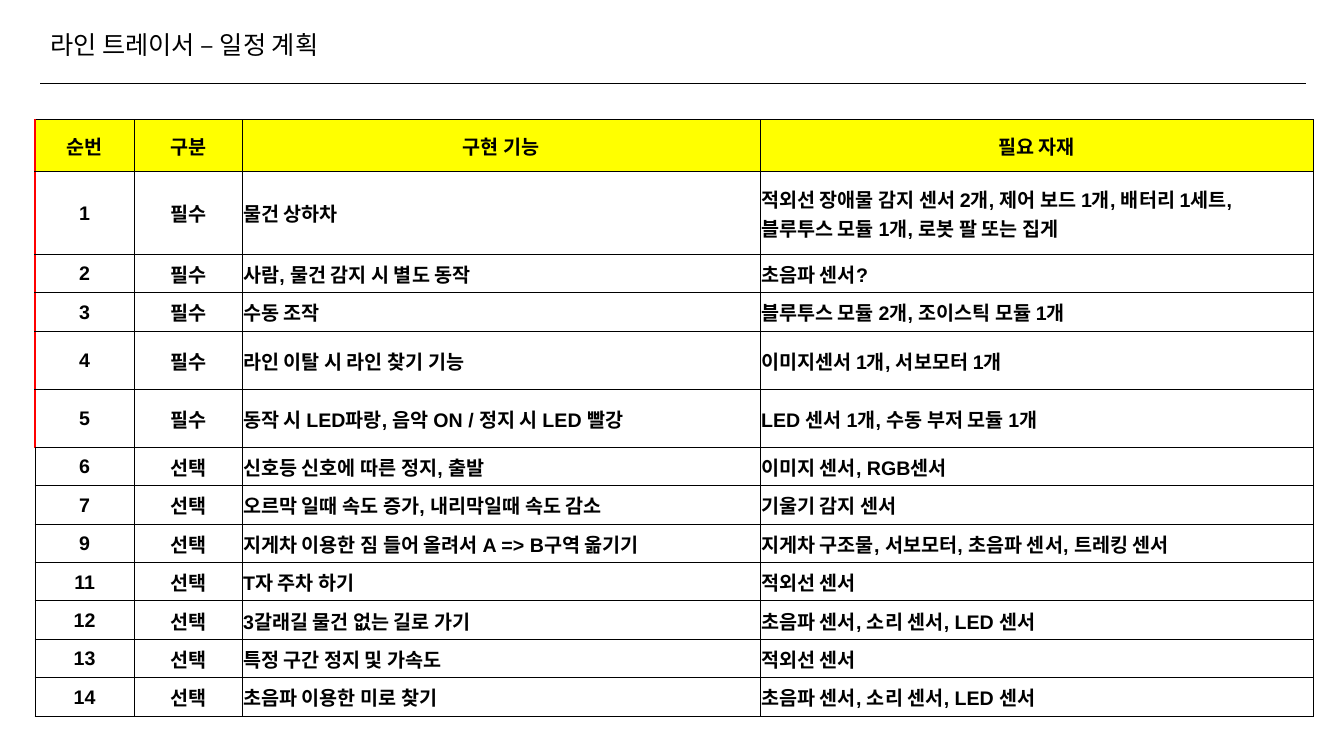
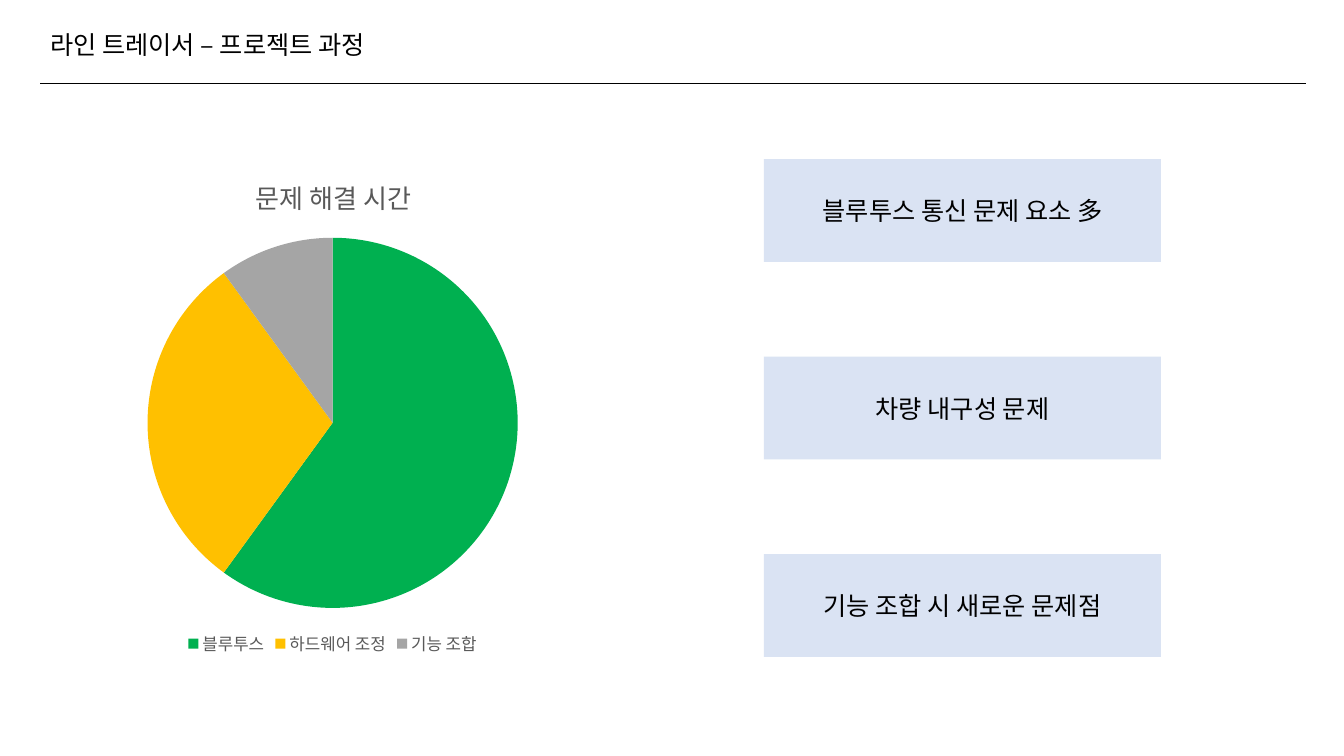
from lxml import etree
from pptx import Presentation
from pptx.chart import data
from pptx.dml import color
from pptx.enum import chart as charts, shapes, text
from pptx.oxml import ns, parse_xml
from pptx.util import Pt

KOREAN = "Noto Sans CJK KR"
BLACK, WHITE, RED, GRAY = "000000", "FFFFFF", "FF0000", "595959"
YELLOW, PALE_BLUE = "FFFF00", "DAE3F3"


def paint(fill, value):
    fill.solid()
    fill.fore_color.rgb = color.RGBColor.from_string(value)


def style_font(font, size, value, name=KOREAN, bold=False):
    font.size, font.bold, font.name = Pt(size), bold, name
    paint(font.fill, value)
    etree.SubElement(font._element, ns.qn("a:ea"), typeface=KOREAN)


presentation = Presentation()
presentation.slide_width, presentation.slide_height = Pt(960), Pt(540)

slides = []
for topic in ("일정 계획", "프로젝트 과정"):
    slide = presentation.slides.add_slide(presentation.slide_layouts[5])
    slides.append(slide)
    title = slide.shapes.title
    title.left, title.top, title.width, title.height = Pt(28.8), Pt(17.3), Pt(292), Pt(29)
    frame = title.text_frame
    frame.auto_size = text.MSO_AUTO_SIZE.NONE
    frame.vertical_anchor = text.MSO_ANCHOR.MIDDLE
    paragraph = frame.paragraphs[0]
    paragraph.alignment = text.PP_ALIGN.LEFT
    run = paragraph.add_run()
    run.text = f"라인 트레이서 – {topic}"
    style_font(run.font, 18, BLACK)

    rule = slide.shapes.add_connector(
        shapes.MSO_CONNECTOR.STRAIGHT, Pt(28.8), Pt(59.3), Pt(933), Pt(59.3))
    paint(rule.line.fill, BLACK)
    rule.line.width = Pt(0.5)
    etree.SubElement(rule._element.spPr, ns.qn("a:effectLst"))

schedule_slide, process_slide = slides

schedule = [
    ("순번", "구분", "구현 기능", "필요 자재"),
    ("1", "필수", "물건 상하차",
     "적외선 장애물 감지 센서 2개, 제어 보드 1개, 배터리 1세트,\n블루투스 모듈 1개, 로봇 팔 또는 집게"),
    ("2", "필수", "사람, 물건 감지 시 별도 동작", "초음파 센서?"),
    ("3", "필수", "수동 조작", "블루투스 모듈 2개, 조이스틱 모듈 1개"),
    ("4", "필수", "라인 이탈 시 라인 찾기 기능", "이미지센서 1개, 서보모터 1개"),
    ("5", "필수", "동작 시 LED파랑, 음악 ON / 정지 시 LED 빨강", "LED 센서 1개, 수동 부저 모듈 1개"),
    ("6", "선택", "신호등 신호에 따른 정지, 출발", "이미지 센서, RGB센서"),
    ("7", "선택", "오르막 일때 속도 증가, 내리막일때 속도 감소", "기울기 감지 센서"),
    ("9", "선택", "지게차 이용한 짐 들어 올려서 A => B구역 옮기기",
     "지게차 구조물, 서보모터, 초음파 센서, 트레킹 센서"),
    ("11", "선택", "T자 주차 하기", "적외선 센서"),
    ("12", "선택", "3갈래길 물건 없는 길로 가기", "초음파 센서, 소리 센서, LED 센서"),
    ("13", "선택", "특정 구간 정지 및 가속도", "적외선 센서"),
    ("14", "선택", "초음파 이용한 미로 찾기", "초음파 센서, 소리 센서, LED 센서"),
]
column_widths = [70.8, 77.2, 370, 395]
row_heights = [37, 59.2, 27.45, 27.45, 41.5, 41.5] + [27.45] * 7
table = schedule_slide.shapes.add_table(
    len(schedule), len(column_widths), Pt(25.1), Pt(85.4),
    Pt(sum(column_widths)), Pt(sum(row_heights))).table
table.first_row = table.horz_banding = False
for column, width in zip(table.columns, column_widths):
    column.width = Pt(width)
for row, height in zip(table.rows, row_heights):
    row.height = Pt(height)

for row_index, entries in enumerate(schedule):
    for column_index, entry in enumerate(entries):
        cell = table.cell(row_index, column_index)
        cell.margin_left = cell.margin_right = cell.margin_top = Pt(0.7)
        cell.margin_bottom = 0
        cell.vertical_anchor = text.MSO_ANCHOR.MIDDLE
        paint(cell.fill, YELLOW if row_index == 0 else WHITE)
        paragraph = cell.text_frame.paragraphs[0]
        if row_index == 0 or column_index < 2:
            paragraph.alignment = text.PP_ALIGN.CENTER
        for line_index, line in enumerate(entry.split("\n")):
            if line_index:
                paragraph.add_line_break()
            run = paragraph.add_run()
            run.text = line
            style_font(run.font, 14, BLACK, "Arial", True)
        properties = cell._tc.get_or_add_tcPr()
        for position, side in enumerate("LRTB"):
            required_edge = side == "L" and column_index == 0 and row_index < 6
            width, value = (1.5, RED) if required_edge else (0.75, BLACK)
            properties.insert(position, parse_xml(
                f'<a:ln{side} {ns.nsdecls("a")} w="{Pt(width)}"><a:solidFill>'
                f'<a:srgbClr val="{value}"/></a:solidFill></a:ln{side}>'))

chart_data = data.CategoryChartData()
chart_data.categories = ["블루투스", "하드웨어 조정", "기능 조합"]
chart_data.add_series("Series 1", (60, 30, 10))
chart = process_slide.shapes.add_chart(
    charts.XL_CHART_TYPE.PIE, Pt(90.7), Pt(110.9), Pt(293.8), Pt(360.7), chart_data).chart
style_font(chart.font, 10, BLACK)
chart.has_title = True
run = chart.chart_title.text_frame.paragraphs[0].add_run()
run.text = "문제 해결 시간"
style_font(run.font, 18.6, GRAY)
chart.has_legend = True
chart.legend.position = charts.XL_LEGEND_POSITION.BOTTOM
chart.legend.include_in_layout = False
style_font(chart.legend.font, 12, GRAY)
pie = chart.plots[0]
pie.vary_by_categories = True
for index, value in enumerate(("00B050", "FFC000", "A5A5A5")):
    paint(pie.series[0].points[index].format.fill, value)

placements = [
    (chart.chart_title._element, 1, {"xMode": "edge", "yMode": "edge", "x": 0.3, "y": 0.03}),
    (chart._chartSpace.chart.plotArea, 0,
     {"layoutTarget": "inner", "xMode": "edge", "yMode": "edge",
      "x": 0.05, "y": 0.16, "w": 0.9, "h": 0.74}),
]
for element, position, settings in placements:
    for automatic in element.findall(ns.qn("c:layout")):
        element.remove(automatic)
    layout = etree.Element(ns.qn("c:layout"))
    manual = etree.SubElement(layout, ns.qn("c:manualLayout"))
    for name, value in settings.items():
        etree.SubElement(manual, ns.qn(f"c:{name}"), val=str(value))
    element.insert(position, layout)

problems = ["블루투스 통신 문제 요소 多", "차량 내구성 문제", "기능 조합 시 새로운 문제점"]
for index, problem in enumerate(problems):
    shape = process_slide.shapes.add_shape(
        shapes.MSO_SHAPE.RECTANGLE, Pt(545.7), Pt(113.6 + 141.1 * index), Pt(283.6), Pt(73.4))
    shape.shadow.inherit = False
    paint(shape.fill, PALE_BLUE)
    shape.line.fill.background()
    shape.text_frame.vertical_anchor = text.MSO_ANCHOR.MIDDLE
    paragraph = shape.text_frame.paragraphs[0]
    paragraph.alignment = text.PP_ALIGN.CENTER
    run = paragraph.add_run()
    run.text = problem
    style_font(run.font, 18, BLACK)

presentation.save("out.pptx")
